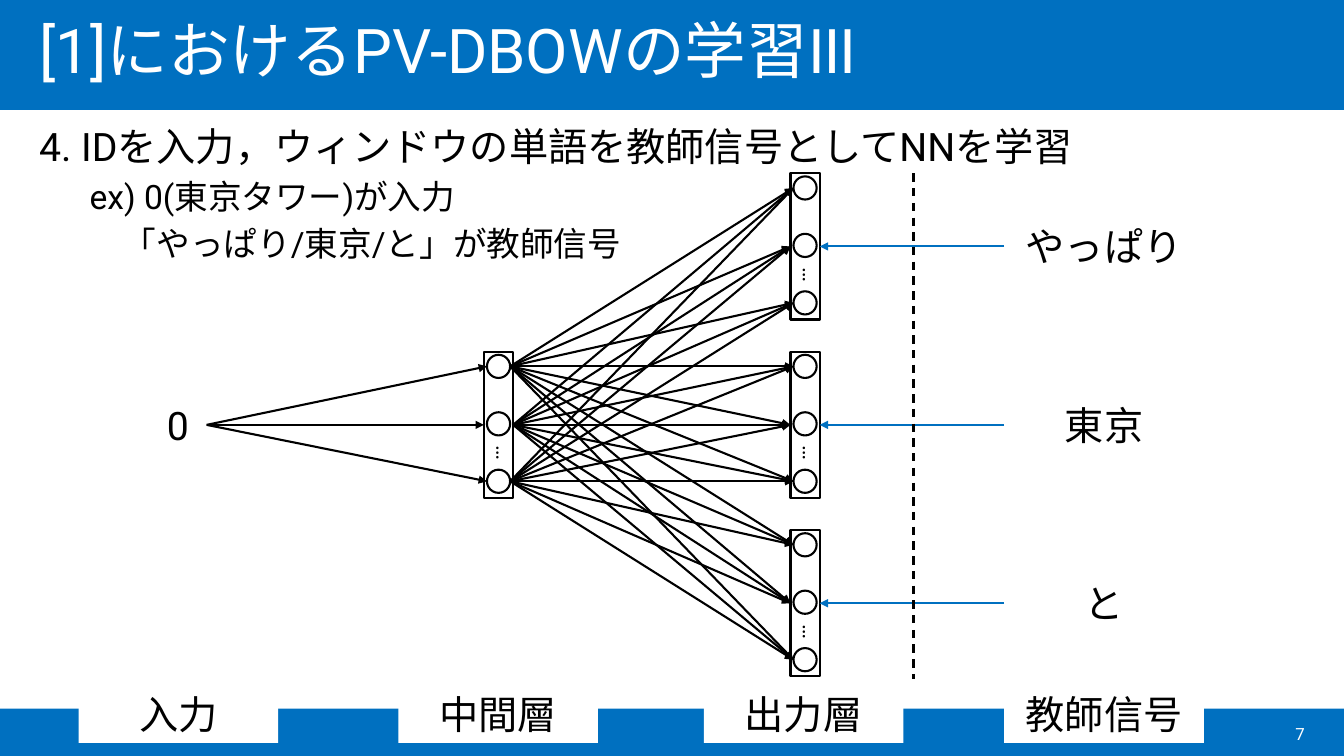
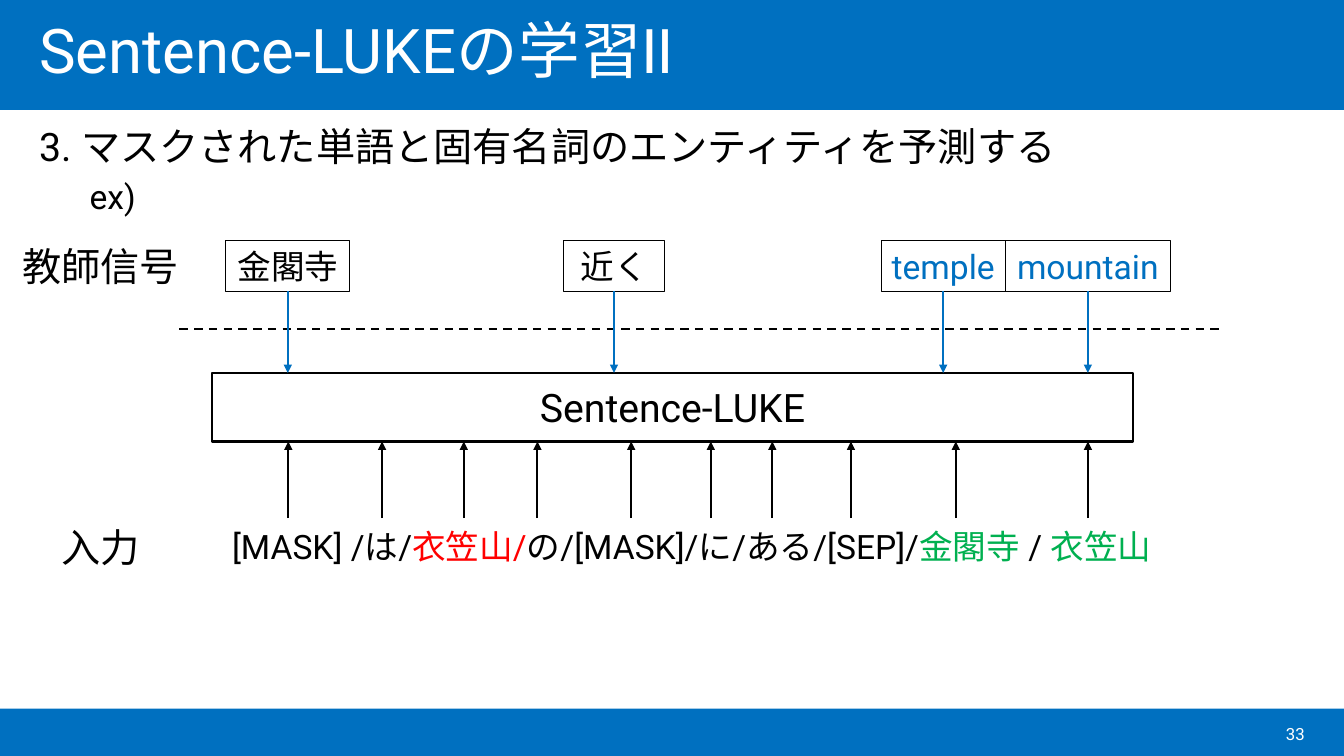
from dataclasses import dataclass
from itertools import product
from typing import Optional, Union

from lxml.etree import SubElement
from pptx import Presentation
from pptx.dml.color import RGBColor as Rgb
from pptx.enum.dml import MSO_LINE_DASH_STYLE as Dash
from pptx.enum.shapes import MSO_CONNECTOR as Wire, MSO_SHAPE as Form
from pptx.enum.text import MSO_ANCHOR as Anchor, PP_ALIGN as Align
from pptx.oxml.ns import qn
from pptx.shapes.base import BaseShape
from pptx.slide import Slide
from pptx.util import Inches, Pt

COLORS = {
    "blue": "0070C0",
    "white": "FFFFFF",
    "black": "000000",
    "red": "FF0000",
    "green": "00B050",
}
FONT = "Roboto"
LABEL_W, LABEL_H = 1.98, 0.57
DOT = 0.23
DOT_PAD = 0.03
DOT_STEP = 0.57
LAYER_W, LAYER_H = 0.29, 1.45
LAYER_TOPS = [1.72, 3.49, 5.26]
MID = 1


@dataclass
class Rect:
    x: float
    y: float
    w: float
    h: float


@dataclass
class Look:
    fill: Optional[str] = None
    line: Optional[str] = None
    width: float = 1.5


@dataclass
class Span:
    text: str
    color: str = "black"


@dataclass
class Line:
    spans: list[Span]
    size: float = 28
    indent: float = 0
    before: float = 0
    spacing: Optional[float] = None
    align: Align = Align.CENTER


@dataclass
class Point:
    x: float
    y: float


@dataclass
class Joint:
    shape: BaseShape
    side: int


@dataclass
class Layer:
    frame: BaseShape
    dots: list[Rect]


End = Union[Point, Joint]
PLAIN = Look()
WHITE = Look("white")
INK = Look("white", "black")
BAND = Look("blue")


def shade(color: str) -> Rgb:
    return Rgb.from_string(COLORS[color])


def shape(host, kind: Form, area: Rect, look: Look) -> BaseShape:
    item = host.shapes.add_shape(
        kind, Inches(area.x), Inches(area.y), Inches(area.w), Inches(area.h))
    item.shadow.inherit = False
    if look.fill:
        item.fill.solid()
        item.fill.fore_color.rgb = shade(look.fill)
    else:
        item.fill.background()
    if look.line:
        item.line.color.rgb = shade(look.line)
        item.line.width = Pt(look.width)
    else:
        item.line.fill.background()
    return item


def write(item: BaseShape, lines: list[Line], anchor: Anchor, wrap: bool) -> None:
    frame = item.text_frame
    frame.word_wrap = wrap
    frame.vertical_anchor = anchor
    for i, line in enumerate(lines):
        para = frame.paragraphs[0] if i == 0 else frame.add_paragraph()
        para.alignment = line.align
        para.space_before = Pt(line.before)
        if line.spacing:
            para.line_spacing = line.spacing
        if line.indent:
            props = para._p.get_or_add_pPr()
            props.set("marL", str(Inches(line.indent)))
            props.set("indent", "0")
        for span in line.spans:
            run = para.add_run()
            run.text = span.text
            run.font.size = Pt(line.size)
            run.font.color.rgb = shade(span.color)
            run.font.name = FONT
            SubElement(run._r.get_or_add_rPr(), qn("a:ea"), typeface=FONT)


def box(host, area: Rect, lines: list[Line], look: Look = PLAIN,
        anchor: Anchor = Anchor.TOP, wrap: bool = True) -> BaseShape:
    if look is PLAIN:
        item = host.shapes.add_textbox(
            Inches(area.x), Inches(area.y), Inches(area.w), Inches(area.h))
    else:
        item = shape(host, Form.RECTANGLE, area, look)
    write(item, lines, anchor, wrap)
    return item


def label(slide: Slide, x: float, y: float, text: str, look: Look = WHITE,
          w: float = LABEL_W) -> BaseShape:
    return box(slide, Rect(x, y, w, LABEL_H), [Line([Span(text)])], look)


def link(slide: Slide, start: End, end: End, color: str = "black",
         arrow: bool = True) -> None:
    spots = []
    for stop in (start, end):
        point = stop if isinstance(stop, Point) else Point(0, 0)
        spots += [Inches(point.x), Inches(point.y)]
    wire = slide.shapes.add_connector(Wire.STRAIGHT, *spots)
    if isinstance(start, Joint):
        wire.begin_connect(start.shape, start.side)
    if isinstance(end, Joint):
        wire.end_connect(end.shape, end.side)
    wire.line.color.rgb = shade(color)
    wire.line.width = Pt(1.5)
    if arrow:
        SubElement(wire.line._get_or_add_ln(), qn("a:tailEnd"), type="triangle")
    else:
        wire.line.dash_style = Dash.DASH
    SubElement(wire._element.spPr, qn("a:effectLst"))


def base(deck, title: str, number: str, body: list[Line]) -> Slide:
    slide = deck.slides.add_slide(deck.slide_layouts[6])
    for y, h in ((7.03, 0.5), (-0.01, 1.1)):
        shape(slide, Form.RECTANGLE, Rect(-0.01, y, 13.35, h), BAND)
    head = Line([Span(title, "white")], 44, spacing=0.9, align=Align.LEFT)
    box(slide, Rect(0.29, 0.06, 12.75, 0.94), [head], anchor=Anchor.MIDDLE)
    box(slide, Rect(0.29, 1.16, 12.75, 5.78), body)
    page = Line([Span(number, "white")], 12, align=Align.RIGHT)
    box(slide, Rect(10.04, 7.08, 3, 0.4), [page], anchor=Anchor.MIDDLE)
    return slide


def point(text: str) -> Line:
    return Line([Span(text)], align=Align.LEFT)


def note(text: str, indent: float = 0.5) -> Line:
    return Line([Span(text)], 24, indent, 5, align=Align.LEFT)


def layer(slide: Slide, x: float, y: float) -> Layer:
    group = slide.shapes.add_group_shape()
    frame = shape(group, Form.RECTANGLE, Rect(x, y, LAYER_W, LAYER_H), INK)
    dots = [Rect(x + DOT_PAD, y + DOT_PAD + i * DOT_STEP, DOT, DOT)
            for i in range(3)]
    for dot in dots:
        shape(group, Form.OVAL, dot, INK)
    more = box(group, Rect(x + 0.05, y + 0.81, 0.32, 0.37),
               [Line([Span("…")], 16)])
    more.rotation = 90
    return Layer(frame, dots)


def port(unit: Layer, row: int, side: int) -> End:
    if row == MID:
        return Joint(unit.frame, side)
    dot = unit.dots[row]
    return Point(dot.x + (dot.w if side == 3 else 0), dot.y + dot.h / 2)


def network(deck) -> None:
    slide = base(deck, "[1]におけるPV-DBOWの学習Ⅲ", "7", [
        point("4. IDを入力，ウィンドウの単語を教師信号としてNNを学習"),
        note("ex) 0(東京タワー)が入力"),
        note("「やっぱり/東京/と」が教師信号", 0.83),
    ])
    zero = label(slide, 1.48, 3.93, "0", PLAIN, 0.57)
    hidden = layer(slide, 4.8, LAYER_TOPS[MID])
    outs = [layer(slide, 7.84, top) for top in LAYER_TOPS]
    for row in range(3):
        link(slide, Joint(zero, 3), port(hidden, row, 1))
    for src, out, dst in product(range(3), outs, range(3)):
        link(slide, port(hidden, src, 3), port(out, dst, 1))
    for out, top, word in zip(outs, LAYER_TOPS, ("やっぱり", "東京", "と")):
        target = label(slide, 9.96, top + 0.44, word, PLAIN)
        link(slide, Joint(target, 1), Joint(out.frame, 3), "blue")
    link(slide, Point(9.06, 1.72), Point(9.06, 6.74), arrow=False)
    names = ("入力", "中間層", "出力層", "教師信号")
    for x, name in zip((0.78, 3.95, 6.98, 9.96), names):
        label(slide, x, 6.8, name)


def masking(deck) -> None:
    slide = base(deck, "Sentence-LUKEの学習Ⅱ", "33", [
        point("3. マスクされた単語と固有名詞のエンティティを予測する"),
        note("ex)"),
    ])
    tokens = [
        Span("[MASK] /は/"), Span("衣笠山/", "red"),
        Span("の/[MASK]/に/ある/[SEP]/"), Span("金閣寺 ", "green"),
        Span("/ "), Span("衣笠山", "green"),
    ]
    box(slide, Rect(2.1, 5.17, 9.52, 0.5), [Line(tokens, 24)])
    model = Rect(2.1, 3.7, 9.14, 0.68)
    box(slide, model, [Line([Span("Sentence-LUKE")])], INK, Anchor.MIDDLE)
    link(slide, Point(1.78, 3.26), Point(12.09, 3.26), arrow=False)
    cards = (
        (2.24, 1.23, Span("金閣寺")),
        (5.59, 1, Span("近く")),
        (8.74, 1.23, Span("temple", "blue")),
        (9.97, 1.64, Span("mountain", "blue")),
    )
    for x, w, span in cards:
        card = box(slide, Rect(x, 2.39, w, 0.5), [Line([span], 24)],
                   Look(line="black", width=0.75), wrap=False)
        link(slide, Joint(card, 2), Point(x + w / 2, model.y), "blue")
    for y, name in ((2.35, "教師信号"), (5.14, "入力")):
        label(slide, 0.01, y, name)
    for x in (2.86, 3.79, 4.6, 5.33, 6.26, 7.05, 7.66, 8.44, 9.48, 10.79):
        link(slide, Point(x, 5.14), Point(x, model.y + model.h))


def main() -> None:
    deck = Presentation()
    deck.slide_width, deck.slide_height = Inches(13.33), Inches(7.5)
    network(deck)
    masking(deck)
    deck.save("out.pptx")


if __name__ == "__main__":
    main()
